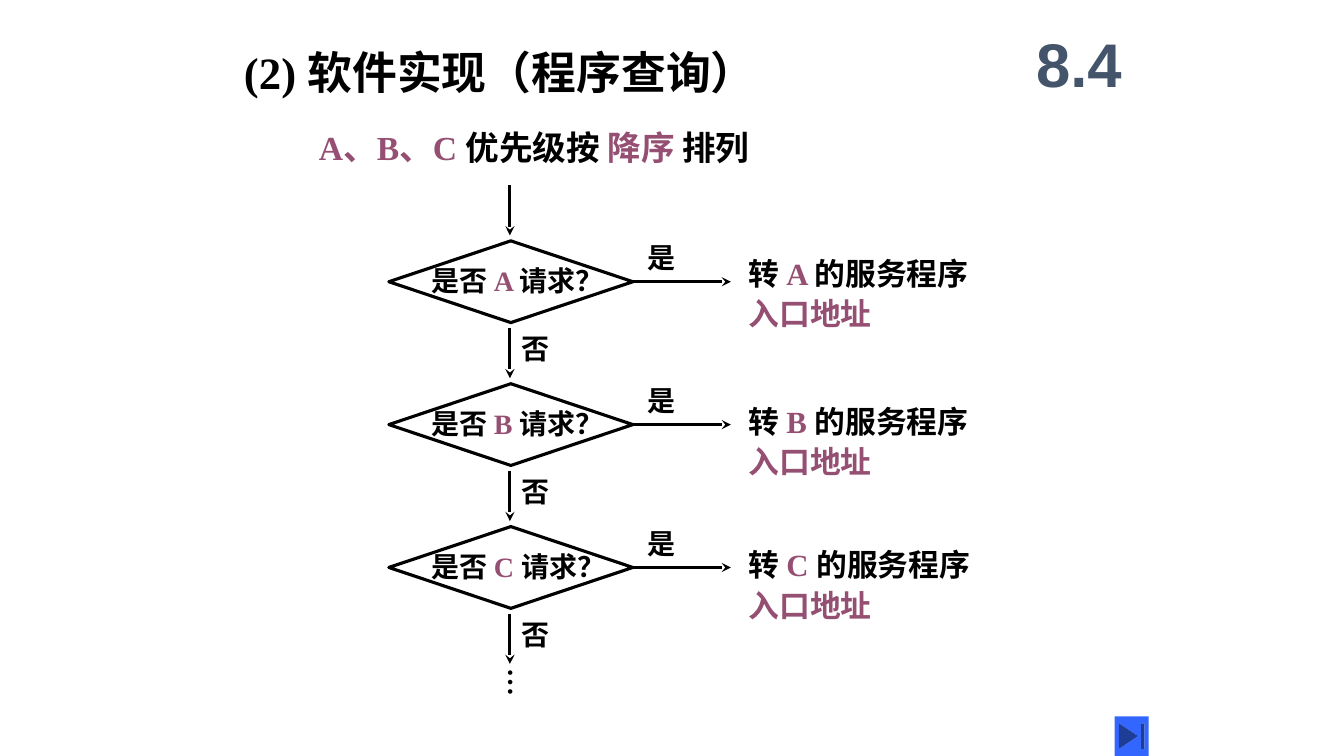
"""Builds the slide on polling interrupt requests in software."""
from lxml import etree
from pptx import Presentation
from pptx.dml.color import RGBColor
from pptx.enum.shapes import MSO_CONNECTOR, MSO_SHAPE
from pptx.enum.text import MSO_ANCHOR, MSO_AUTO_SIZE, PP_ALIGN
from pptx.oxml.ns import qn
from pptx.util import Cm, Pt

LINE = MSO_CONNECTOR.STRAIGHT
DIAMOND = MSO_SHAPE.DIAMOND
BUTTON = MSO_SHAPE.ACTION_BUTTON_END
TOP, MIDDLE = MSO_ANCHOR.TOP, MSO_ANCHOR.MIDDLE
GROW, FIXED = MSO_AUTO_SIZE.SHAPE_TO_FIT_TEXT, MSO_AUTO_SIZE.NONE
LEFT, CENTER = PP_ALIGN.LEFT, PP_ALIGN.CENTER

COLORS = {"ink": "000000", "plum": "954F72", "slate": "44546A", "blue": "3366FF"}
INSET = (0.25, 0.13, 0.25, 0.13)
FLUSH = (0, 0.13, 0, 0.13)
SERIF, SANS = "Times New Roman", "Arial"


class Board:
    """Holds the style and the current slide."""

    def __init__(self, slide):
        self.shapes = slide.shapes
        self.width = Pt(2.25)

    def color(self, name):
        return RGBColor.from_string(COLORS[name])

    def text(self, x, y, w, h, lines, size, font=SERIF, inset=INSET, wrap=True,
             anchor=TOP, fit=GROW, align=LEFT, pitch=None, gap=0):
        box = self.shapes.add_textbox(Cm(x), Cm(y), Cm(w), Cm(h))
        frame = box.text_frame
        frame.word_wrap, frame.auto_size = wrap, fit
        frame.vertical_anchor = anchor
        (frame.margin_left, frame.margin_top,
         frame.margin_right, frame.margin_bottom) = map(Cm, inset)
        for row, parts in enumerate(lines):
            para = frame.add_paragraph() if row else frame.paragraphs[0]
            para.alignment = align
            if pitch:
                para.line_spacing = pitch
            if row:
                para.space_before = Pt(gap)
            for words, tint in parts:
                run = para.add_run()
                run.text = words
                run.font.name, run.font.size = font, Pt(size)
                run.font.bold = True
                run.font.color.rgb = self.color(tint)
        return box

    def arrow(self, x, y, dx, dy):
        link = self.shapes.add_connector(LINE, Cm(x), Cm(y), Cm(x + dx), Cm(y + dy))
        link.line.width = self.width
        link.line.color.rgb = self.color("ink")
        etree.SubElement(link.line._get_or_add_ln(), qn("a:tailEnd"), type="stealth")
        etree.SubElement(link.element.spPr, qn("a:effectLst"))

    def diamond(self, x, y, w, h):
        shape = self.shapes.add_shape(DIAMOND, Cm(x), Cm(y), Cm(w), Cm(h))
        shape.shadow.inherit = False
        shape.fill.background()
        shape.line.width = self.width
        shape.line.color.rgb = self.color("ink")

    def button(self, x, y, w, h):
        shape = self.shapes.add_shape(BUTTON, Cm(x), Cm(y), Cm(w), Cm(h))
        shape.shadow.inherit = False
        shape.fill.solid()
        shape.fill.fore_color.rgb = self.color("blue")
        shape.line.fill.background()

    def step(self, name, y, drop):
        self.diamond(9.8, y, 6.15, 2.06)
        self.text(10.87, y + 0.58, 5.5, 0.99,
                  [[("是否 ", "ink"), (name + " ", "plum"), ("请求？", "ink")]],
                  20, inset=(0, 0, 0.25, 0.13))
        self.arrow(15.88, y + 1.03, 2.54, 0)
        self.text(16.08, y - 0.13, 1.7, 1.12, [[("是", "ink")]], 20)
        self.text(18.62, y + drop, 9.73, 2.31,
                  [[("转 ", "ink"), (name + " ", "plum"), ("的服务程序", "ink")],
                   [("入口地址", "plum")]], 22, pitch=0.85, gap=6.5)
        self.arrow(12.85, y + 2.19, 0, 1.27)
        self.text(12.9, y + 2.16, 1.7, 1.12, [[("否", "ink")]], 20)


def main():
    deck = Presentation()
    deck.slide_width, deck.slide_height = Cm(33.87), Cm(19.05)
    board = Board(deck.slides.add_slide(deck.slide_layouts[6]))

    head = {"inset": FLUSH, "wrap": False, "anchor": MIDDLE, "fit": FIXED}
    board.text(6.15, 1.06, 14.6, 1.48, [[("(2) 软件实现（程序查询）", "ink")]], 32, **head)
    board.text(8.04, 2.96, 14.6, 1.48,
               [[("A、B、C ", "plum"), ("优先级按 ", "ink"),
                 ("降序 ", "plum"), ("排列", "ink")]], 24, **head)
    board.text(25.6, 0.42, 3.18, 2.33, [[("8.4", "slate")]], 44, font=SANS,
               anchor=MIDDLE, fit=FIXED, align=CENTER)

    board.arrow(12.85, 4.66, 0, 1.27)
    for row, (name, drop) in enumerate([("A", 0.36), ("B", 0.49), ("C", 0.5)]):
        board.step(name, 6.07 + 3.6 * row, drop)

    dots = board.text(12.4, 16.72, 1.37, 0.97, [[("…", "ink")]], 20, wrap=False)
    dots.element.txBody.bodyPr.set("vert", "eaVert")
    board.button(28.09, 18.05, 0.86, 1)
    deck.save("out.pptx")


if __name__ == "__main__":
    main()
